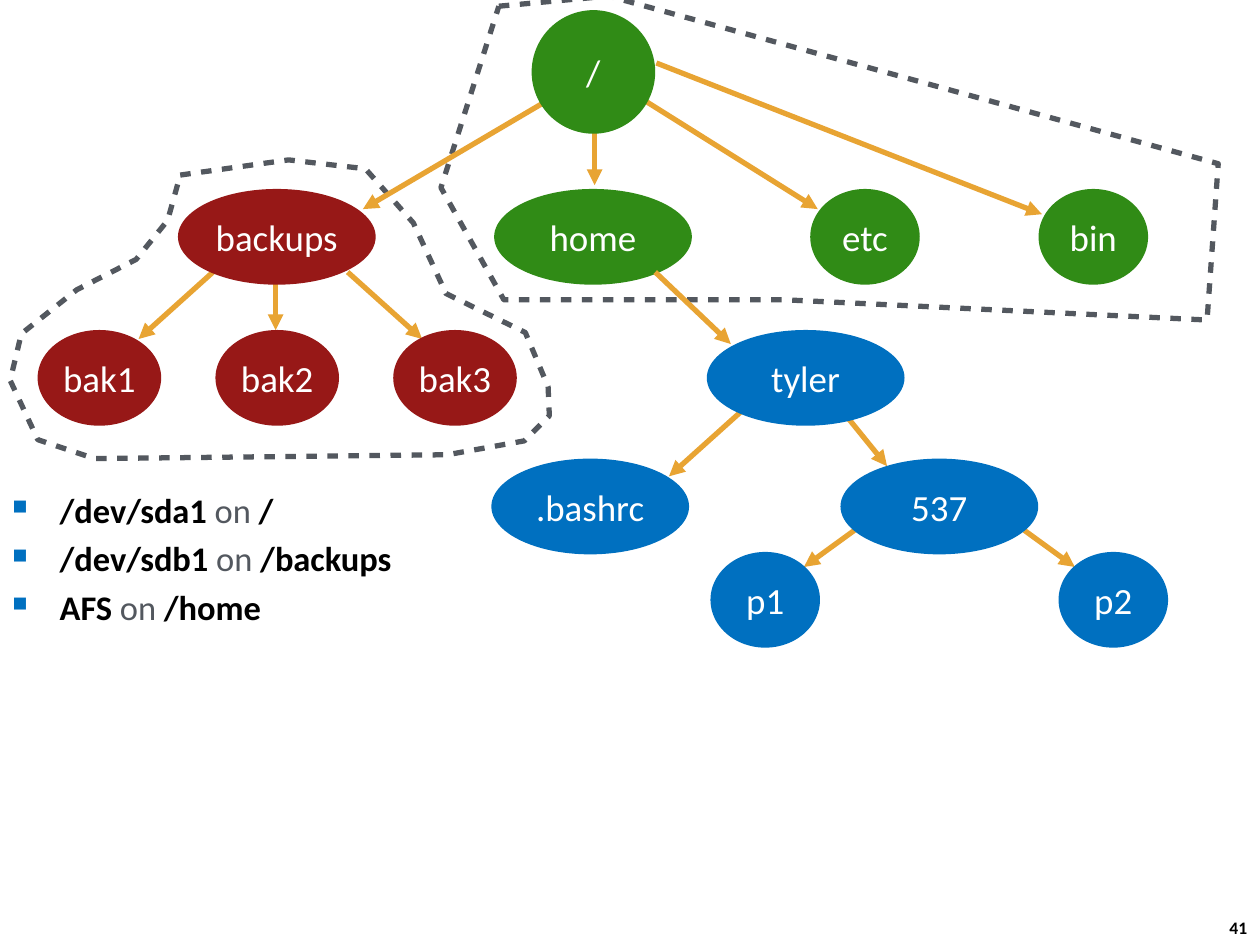
"""Draw a file tree whose parts come from three mounts."""
from typing import NamedTuple

from lxml.etree import SubElement
from pptx import Presentation
from pptx.dml.color import RGBColor
from pptx.enum.shapes import MSO_CONNECTOR as Link, MSO_SHAPE as Form
from pptx.enum.text import MSO_ANCHOR as Anchor, PP_ALIGN as Align
from pptx.oxml.ns import qn
from pptx.util import Pt

GREEN, RED, BLUE = "308B16", "971817", "0070C0"
GOLD, GRAY, BLACK, WHITE = "E8A433", "53585F", "000000", "FFFFFF"
FONT = "Calibri"
WIDE, MID, SLIM, HIGH = 113, 70.6, 62.6, 54.7
ROWS = (108, 188.6, 262.1, 315.4)


class Node(NamedTuple):
    text: str
    color: str
    x: float
    y: float
    w: float
    h: float = HIGH


class Arrow(NamedTuple):
    x1: float
    y1: float
    x2: float
    y2: float


class Mount(NamedTuple):
    source: str
    point: str


NODES = [
    Node("/", GREEN, 303.8, 5.8, MID, MID),
    Node("backups", RED, 101.7, ROWS[0], WIDE),
    Node("home", GREEN, 282.4, ROWS[0], WIDE),
    *(Node(f"bak{i + 1}", RED, 21.5 + 101.6 * i, ROWS[1], MID) for i in range(3)),
    Node("etc", GREEN, 463, ROWS[0], SLIM),
    Node("bin", GREEN, 593.5, ROWS[0], SLIM),
    Node("tyler", BLUE, 403.9, ROWS[1], WIDE),
    Node("537", BLUE, 480.3, ROWS[2], WIDE),
    Node("p1", BLUE, 406, ROWS[3], SLIM),
    Node("p2", BLUE, 604.9, ROWS[3], SLIM),
    Node(".bashrc", BLUE, 280.8, ROWS[2], WIDE),
]
ARROWS = [
    Arrow(368.6, 57.6, 467.3, 119.5),
    Arrow(312.5, 57.6, 207.4, 119.5),
    Arrow(339.8, 72.7, 339.8, 105.8),
    Arrow(375.1, 36, 595.4, 122.4),
    Arrow(157.5, 155.5, 157.5, 188.6),
    Arrow(121.7, 155.5, 79.2, 193.7),
    Arrow(198.7, 155.5, 241.2, 193.7),
    Arrow(424.8, 234, 382.3, 272.2),
    Arrow(482.4, 236.2, 506.9, 266.4),
    Arrow(585.4, 303.1, 614.2, 324),
    Arrow(488.2, 303.1, 459.4, 324),
]
HOME = Arrow(374.4, 155.5, 417.6, 196.6)
ROOT = [(285.1, 3.6), (347.8, -2.2), (696.2, 93.6), (689.8, 182.9),
        (449.3, 171.4), (288, 171.4), (252, 107.3)]
BACKUP = [(103, 100.1), (164.9, 91.4), (208.8, 96.5), (236.2, 127.4),
          (254.9, 167.8), (300.2, 190.1), (313.2, 221), (313.9, 237.6),
          (299.5, 252), (255.6, 259.9), (54, 262.1), (21.6, 251.3),
          (5.8, 217.4), (12.2, 190.8), (43.9, 165.6), (77.8, 148.3),
          (95.8, 126)]
MOUNTS = [Mount("/dev/sda1", "/"), Mount("/dev/sdb1", "/backups"),
          Mount("AFS", "/home")]


def tint(code: str) -> RGBColor:
    return RGBColor.from_string(code)


def style(font, size: float, color: str, bold: bool = False) -> None:
    font.name, font.size, font.bold = FONT, Pt(size), bold
    font.color.rgb = tint(color)


def add_frame(shapes, spots: list[tuple[float, float]]) -> None:
    first, *rest = [(Pt(x), Pt(y)) for x, y in spots]
    pen = shapes.build_freeform(*first)
    pen.add_line_segments(rest, close=True)
    frame = pen.convert_to_shape()
    frame.shadow.inherit = False
    frame.fill.background()
    frame.line.color.rgb = tint(GRAY)
    frame.line.width = Pt(3)
    dash = SubElement(frame.line._get_or_add_ln(), qn("a:custDash"))
    SubElement(dash, qn("a:ds"), d="200000", sp="200000")


def add_arrow(shapes, arrow: Arrow) -> None:
    line = shapes.add_connector(Link.STRAIGHT, *map(Pt, arrow))
    line.line.color.rgb = tint(GOLD)
    line.line.width = Pt(3)
    SubElement(line.line._get_or_add_ln(), qn("a:tailEnd"), type="triangle")
    SubElement(line._element.spPr, qn("a:effectLst"))


def add_node(shapes, node: Node) -> None:
    oval = shapes.add_shape(Form.OVAL, Pt(node.x), Pt(node.y), Pt(node.w), Pt(node.h))
    oval.shadow.inherit = False
    oval.fill.solid()
    oval.fill.fore_color.rgb = tint(node.color)
    oval.line.fill.background()
    frame = oval.text_frame
    frame.margin_left = frame.margin_right = 0
    frame.margin_top = frame.margin_bottom = 0
    frame.vertical_anchor = Anchor.MIDDLE
    frame.word_wrap = False
    par = frame.paragraphs[0]
    par.text, par.alignment = node.text, Align.CENTER
    style(par.font, 21.1, WHITE)


def add_list(shapes, mounts: list[Mount]) -> None:
    box = shapes.add_textbox(0, Pt(276), Pt(409), Pt(122.4))
    frame = box.text_frame
    frame.word_wrap = True
    for i, mount in enumerate(mounts):
        par = frame.add_paragraph() if i else frame.paragraphs[0]
        props = par._p.get_or_add_pPr()
        props.set("marL", str(Pt(27)))
        props.set("indent", str(Pt(-27)))
        if i:
            par.space_before = Pt(3.9)
        hue = SubElement(props, qn("a:buClr"))
        SubElement(hue, qn("a:srgbClr"), val=BLUE)
        SubElement(props, qn("a:buSzPct"), val="60000")
        SubElement(props, qn("a:buChar"), char="■")
        parts = ((mount.source + " ", BLACK, True), ("on", GRAY, False),
                 (" " + mount.point, BLACK, True))
        for text, color, bold in parts:
            run = par.add_run()
            run.text = text
            style(run.font, 19.7, color, bold)


def add_number(shapes, text: str) -> None:
    box = shapes.add_textbox(Pt(695.5), Pt(520.6), Pt(26.6), Pt(19.4))
    box.text_frame.word_wrap = False
    par = box.text_frame.paragraphs[0]
    par.text = text
    style(par.font, 10, BLACK, True)


def main() -> None:
    deck = Presentation()
    deck.slide_width, deck.slide_height = Pt(720), Pt(540)
    shapes = deck.slides.add_slide(deck.slide_layouts[6]).shapes
    add_number(shapes, "41")
    for spots in (ROOT, BACKUP):
        add_frame(shapes, spots)
    for arrow in ARROWS:
        add_arrow(shapes, arrow)
    add_list(shapes, MOUNTS)
    for node in NODES:
        add_node(shapes, node)
    add_arrow(shapes, HOME)
    deck.save("out.pptx")


if __name__ == "__main__":
    main()
